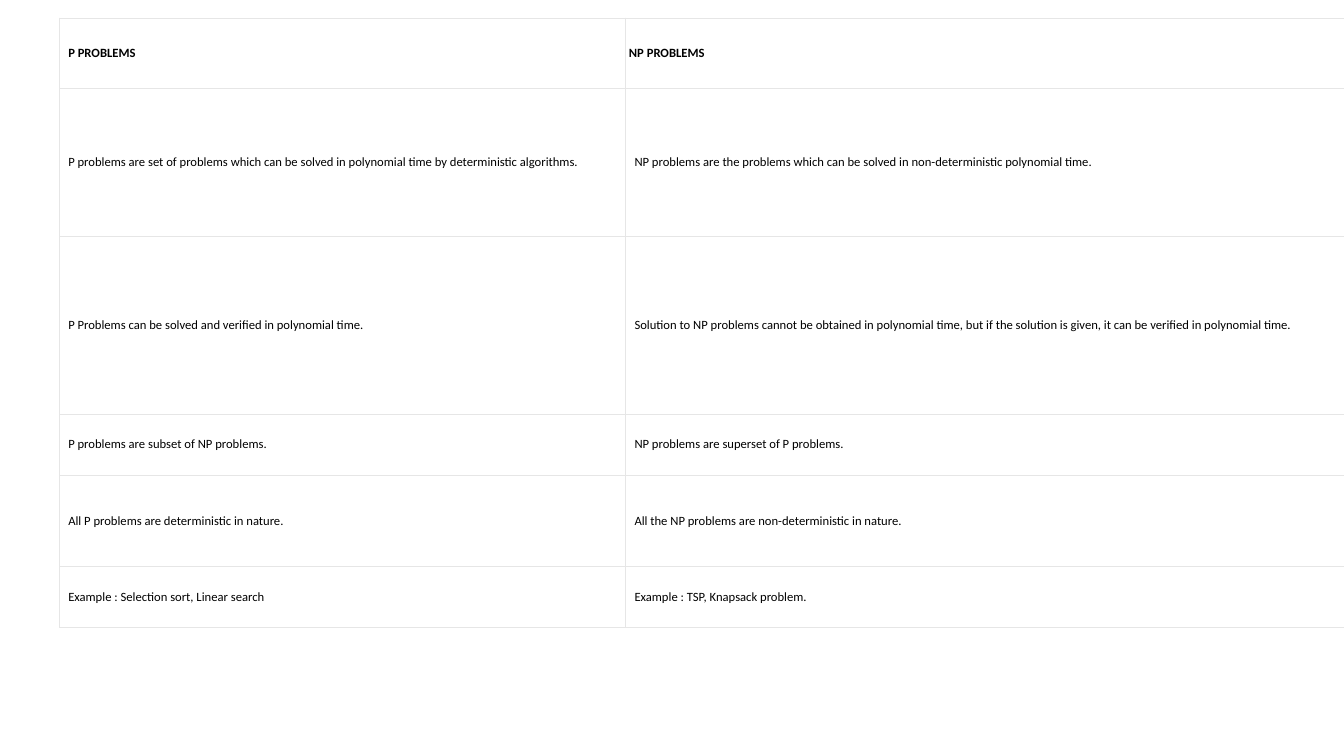
from lxml.etree import SubElement
from pptx import Presentation
from pptx.dml.color import RGBColor
from pptx.enum.text import MSO_ANCHOR
from pptx.oxml.ns import qn
from pptx.util import Cm, Pt

BLACK = RGBColor(0, 0, 0)
WHITE = RGBColor(255, 255, 255)
GREY = RGBColor(0xE6, 0xE6, 0xE6)

widths = [14.27, 18.44]
heights = [1.78, 3.73, 4.47, 1.55, 2.29, 1.55]
rows = [
    ("P PROBLEMS", "NP PROBLEMS"),
    ("P problems are set of problems which can be solved in polynomial time by deterministic algorithms.",
     "NP problems are the problems which can be solved in non-deterministic polynomial time."),
    ("P Problems can be solved and verified in polynomial time.",
     "Solution to NP problems cannot be obtained in polynomial time, "
     "but if the solution is given, it can be verified in polynomial time."),
    ("P problems are subset of NP problems.", "NP problems are superset of P problems."),
    ("All P problems are deterministic in nature.", "All the NP problems are non-deterministic in nature."),
    ("Example : Selection sort, Linear search", "Example : TSP, Knapsack problem."),
]


def border(cell):
    props = cell._tc.get_or_add_tcPr()
    for side in ("lnL", "lnR", "lnT", "lnB"):
        line = SubElement(props, qn(f"a:{side}"), w=str(Pt(0.6)))
        fill = SubElement(line, qn("a:solidFill"))
        SubElement(fill, qn("a:srgbClr"), val=str(GREY))


prs = Presentation()
prs.slide_width, prs.slide_height = Cm(33.87), Cm(19.05)
slide = prs.slides.add_slide(prs.slide_layouts[6])

frame = slide.shapes.add_table(len(rows), len(widths), Cm(1.5), Cm(0.45),
                               Cm(sum(widths)), Cm(sum(heights)))
table = frame.table
table.first_row = table.horz_banding = False
for col, width in zip(table.columns, widths):
    col.width = Cm(width)

for r, texts in enumerate(rows):
    table.rows[r].height = Cm(heights[r])
    for c, text in enumerate(texts):
        cell = table.cell(r, c)
        border(cell)
        cell.fill.solid()
        cell.fill.fore_color.rgb = WHITE
        cell.vertical_anchor = MSO_ANCHOR.MIDDLE
        cell.margin_left = Cm(0.08 if (r, c) == (0, 1) else 0.22)
        cell.margin_right = Cm(0.08)
        cell.margin_top = cell.margin_bottom = Cm(0.03)
        cell.text_frame.text = text
        font = cell.text_frame.paragraphs[0].runs[0].font
        font.name, font.size, font.bold = "Calibri", Pt(9), r == 0
        font.color.rgb = BLACK

prs.save("out.pptx")
